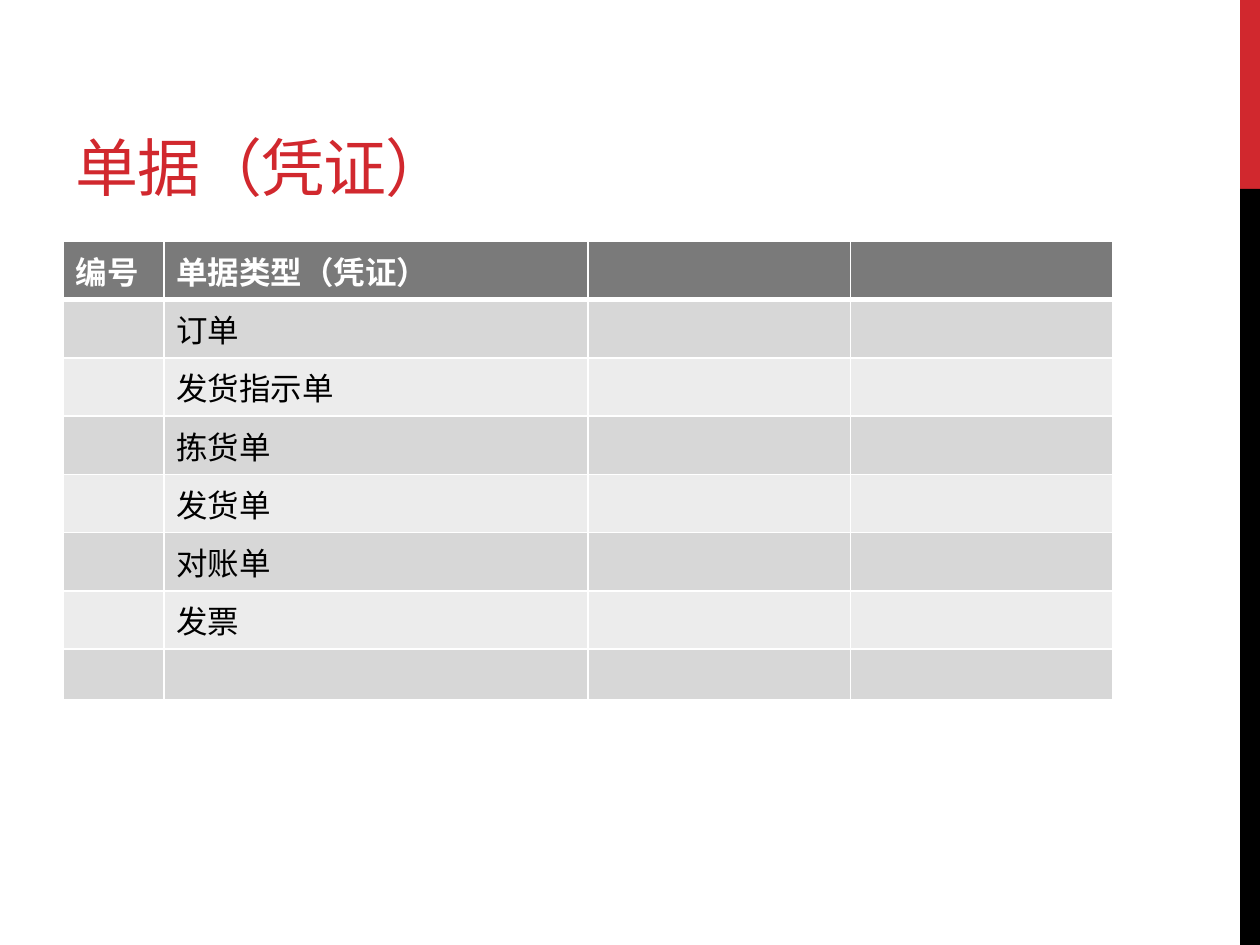
from lxml.etree import SubElement
from pptx import Presentation
from pptx.dml.color import RGBColor
from pptx.enum.shapes import MSO_SHAPE
from pptx.enum.text import MSO_ANCHOR, MSO_AUTO_SIZE, PP_ALIGN
from pptx.oxml.ns import qn
from pptx.util import Pt

RED, BLACK, WHITE = "D1282E", "000000", "FFFFFF"
HEADER_GREY, DARK_BAND, LIGHT_BAND = "7A7A7A", "D7D7D7", "ECECEC"
COLUMN_WIDTHS = [57.6, 242.4, 150, 150]
ROW_HEIGHT = 29.2
HEADINGS = ["编号", "单据类型（凭证）", "", ""]
DOCUMENT_TYPES = ["订单", "发货指示单", "拣货单", "发货单", "对账单", "发票", ""]


def color(hex_string):
    """Turn a hex string into a colour."""
    return RGBColor.from_string(hex_string)


def write_text(text_frame, text, *, size, font, fill, bold=False, spacing=None):
    """Write one left-aligned run with its format."""
    paragraph = text_frame.paragraphs[0]
    paragraph.alignment = PP_ALIGN.LEFT
    run = paragraph.add_run()
    run.text = text
    run.font.size = Pt(size)
    run.font.name = font
    run.font.bold = bold
    run.font.color.rgb = color(fill)
    if spacing is not None:
        run.font._element.set("spc", str(round(spacing * 100)))


def add_bar(slide, left, top, width, height, fill):
    """Add a plain filled rectangle."""
    bar = slide.shapes.add_shape(
        MSO_SHAPE.RECTANGLE, Pt(left), Pt(top), Pt(width), Pt(height))
    bar.shadow.inherit = False
    bar.fill.solid()
    bar.fill.fore_color.rgb = color(fill)
    bar.line.fill.background()


def set_title(slide, text):
    """Place and format the title placeholder."""
    title = slide.shapes.title
    title.left, title.top, title.width, title.height = (
        Pt(36), Pt(12), Pt(456), Pt(108))
    title.text_frame.auto_size = MSO_AUTO_SIZE.NONE
    title.text_frame.word_wrap = True
    title.text_frame.vertical_anchor = MSO_ANCHOR.BOTTOM
    write_text(title.text_frame, text, size=36, font="Montserrat",
               fill=RED, spacing=-0.6)


def set_borders(cell, widths):
    """Give a cell white borders, with widths keyed by side."""
    properties = cell._tc.get_or_add_tcPr()
    for index, side in enumerate("LRTB"):
        line = SubElement(properties, qn(f"a:ln{side}"), w=str(Pt(widths[side])))
        fill = SubElement(line, qn("a:solidFill"))
        SubElement(fill, qn("a:srgbClr"), val=WHITE)
        properties.insert(index, line)


def add_document_table(slide, left, top):
    """Add the banded table of document types."""
    rows = [HEADINGS] + [["", name, "", ""] for name in DOCUMENT_TYPES]
    table = slide.shapes.add_table(
        len(rows), len(COLUMN_WIDTHS), Pt(left), Pt(top),
        Pt(sum(COLUMN_WIDTHS)), Pt(ROW_HEIGHT * len(rows))).table
    for column, width in zip(table.columns, COLUMN_WIDTHS):
        column.width = Pt(width)
    for row_index, row in enumerate(rows):
        table.rows[row_index].height = Pt(ROW_HEIGHT)
        is_header = row_index == 0
        band = DARK_BAND if row_index % 2 else LIGHT_BAND
        widths = {"L": 1, "R": 1, "T": 3 if row_index == 1 else 1,
                  "B": 3 if is_header else 1}
        for column_index, text in enumerate(row):
            cell = table.cell(row_index, column_index)
            cell.fill.solid()
            cell.fill.fore_color.rgb = color(HEADER_GREY if is_header else band)
            set_borders(cell, widths)
            if text:
                write_text(cell.text_frame, text, size=18, font="Arial",
                           fill=WHITE if is_header else BLACK, bold=is_header)


def main():
    """Build the slide and save it."""
    presentation = Presentation()
    presentation.slide_width, presentation.slide_height = Pt(720), Pt(540)
    slide = presentation.slides.add_slide(presentation.slide_layouts[5])
    slide.background.fill.solid()
    slide.background.fill.fore_color.rgb = color(WHITE)
    add_bar(slide, 708.6, 0, 11.4, 108, RED)
    add_bar(slide, 708.6, 108, 11.4, 432, BLACK)
    set_title(slide, "单据（凭证）")
    add_document_table(slide, 36, 138)
    presentation.save("out.pptx")


main()
